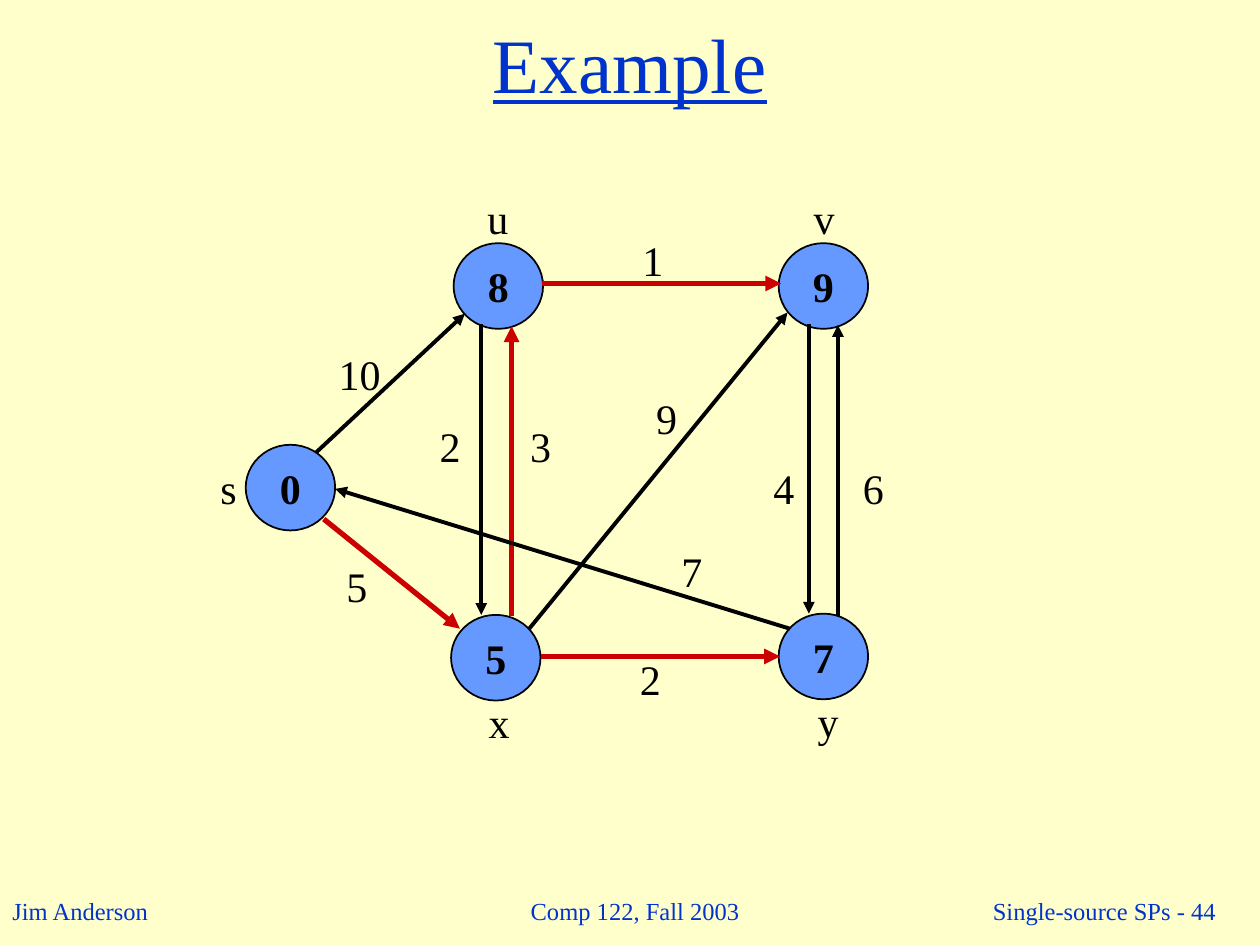
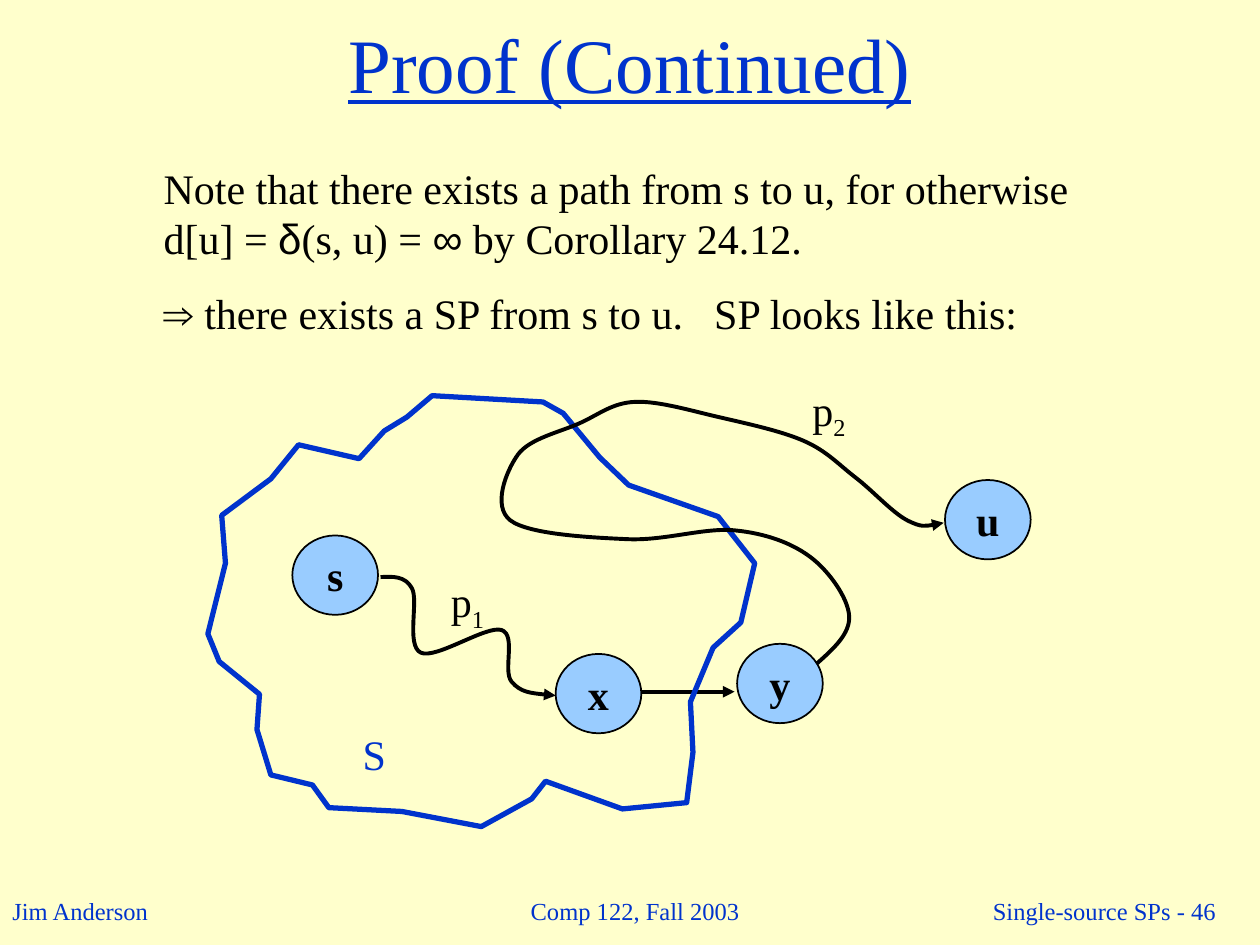
from lxml import etree
from pptx import Presentation
from pptx.dml.color import RGBColor
from pptx.enum.shapes import MSO_CONNECTOR, MSO_SHAPE
from pptx.enum.text import MSO_ANCHOR, PP_ALIGN
from pptx.oxml.ns import qn
from pptx.util import Inches, Pt

LEFT, CENTER, RIGHT = PP_ALIGN.LEFT, PP_ALIGN.CENTER, PP_ALIGN.RIGHT
TOP, MIDDLE = MSO_ANCHOR.TOP, MSO_ANCHOR.MIDDLE
OVAL, STRAIGHT = MSO_SHAPE.OVAL, MSO_CONNECTOR.STRAIGHT

CREAM = RGBColor(0xFF, 0xFF, 0xCC)
BLUE = RGBColor(0x00, 0x33, 0xCC)
NODE_BLUE = RGBColor(0x66, 0x99, 0xFF)
PALE_BLUE = RGBColor(0x99, 0xCC, 0xFF)
RED = RGBColor(0xCC, 0x00, 0x00)
BLACK = RGBColor(0x00, 0x00, 0x00)
SERIF, SANS = "Times New Roman", "Arial"

# Shared footer: text, box, alignment, anchor
FOOTERS = [
    ("Jim Anderson", (0, 7.06, 1.29, 0.34), LEFT, TOP),
    ("Comp 122, Fall 2003", (4, 6.98, 2.08, 0.5), CENTER, MIDDLE),
    ("Single-source SPs - {}", (7.25, 7.02, 2.5, 0.42), RIGHT, MIDDLE),
]

# Weighted graph: distance and place of each node
GRAPH_NODE_SIZE = (0.71, 0.68)
GRAPH_NODES = [
    ("0", 1.95, 3.53),
    ("7", 6.18, 4.87),
    ("5", 3.58, 4.88),
    ("9", 6.18, 1.93),
    ("8", 3.6, 1.93),
]
EDGES = [
    ((2.51, 3.59), (3.69, 2.49)),
    ((3.82, 2.57), (3.82, 4.88)),
    ((6.42, 2.57), (6.42, 4.87)),
    ((6.65, 4.89), (6.65, 2.58)),
    ((4.2, 4.99), (6.25, 2.48)),
    ((6.27, 4.99), (2.66, 3.88)),
]
TREE_EDGES = [
    ((2.57, 4.12), (3.65, 4.99)),
    ((4.06, 4.89), (4.06, 2.59)),
    ((4.29, 5.21), (6.19, 5.21)),
    ((4.3, 2.25), (6.2, 2.25)),
]
NODE_NAMES = [("s", 1.65, 3.62), ("u", 3.77, 1.48), ("v", 6.36, 1.48),
              ("x", 3.78, 5.48), ("y", 6.39, 5.47)]
WEIGHTS = [
    ("10", 2.59, 2.72), ("1", 5, 1.81), ("9", 5.11, 3.07),
    ("2", 4.98, 5.14), ("4", 6.04, 3.62), ("6", 6.75, 3.62),
    ("5", 2.65, 4.4), ("2", 3.39, 3.29), ("3", 4.11, 3.29),
    ("7", 5.31, 4.28),
]

# Proof: argument, nodes, paths and the set S
ARGUMENT = [
    ["Note that there exists a path from s to u, for otherwise"],
    ["d[u] = ", ("δ", {"font": SANS}), "(s, u) = ", ("∞", {"font": SANS}),
     " by Corollary 24.12."],
    [("⇒", {"font": SANS}), " there exists a SP from s to u.\tSP looks like this:"],
]
SENTENCE_TAB = 4.37
PROOF_NODE_SIZE = (0.68, 0.63)
PROOF_NODES = [("x", 4.41, 5.19), ("s", 2.32, 4.25),
               ("y", 5.85, 5.11), ("u", 7.5, 3.81)]
X_TO_Y = ((5.09, 5.49), (5.83, 5.49))
PATH_S_TO_X = [(3.02, 4.58), (3.27, 4.67), (3.34, 5.18), (3.98, 5),
               (4.06, 5.41), (4.41, 5.52)]
PATH_Y_TO_U = [(6.48, 5.27), (6.74, 4.89), (6.43, 4.42), (5.83, 4.21),
               (4.98, 4.28), (4.05, 4.13), (4.11, 3.61), (4.6, 3.36),
               (5.04, 3.19), (5.7, 3.31), (6.38, 3.5), (6.79, 3.79),
               (7.2, 4.13), (7.49, 4.15)]
SET_OUTLINE = [
    (3.05, 3.42), (2.85, 3.64), (2.37, 3.53), (2.15, 3.8), (1.76, 4.09),
    (1.79, 4.47), (1.65, 5.03), (1.74, 5.25), (2.06, 5.51), (2.04, 5.79),
    (2.15, 6.15), (2.48, 6.23), (2.61, 6.41), (3.19, 6.44), (3.82, 6.56),
    (4.22, 6.34), (4.33, 6.2), (4.94, 6.42), (5.45, 6.37), (5.5, 5.97),
    (5.48, 5.57), (5.66, 5.14), (5.88, 4.94), (5.99, 4.47), (5.7, 4.1),
    (4.99, 3.85), (4.76, 3.63), (4.47, 3.28), (4.31, 3.19), (3.43, 3.14),
    (3.23, 3.31),
]
PATH_NAMES = [("1", 3.48, 4.52), ("2", 6.35, 3)]


def inches(values):
    return [Inches(value) for value in values]


# Text
def write(shape, paragraphs, size=24, color=BLACK, bold=False, underline=False,
          align=LEFT, anchor=TOP, wrap=False):
    """Fill a shape; each paragraph is a list of strings or (string, format)."""
    frame = shape.text_frame
    frame.word_wrap = wrap
    frame.vertical_anchor = anchor
    for index, spans in enumerate(paragraphs):
        para = frame.add_paragraph() if index else frame.paragraphs[0]
        para.alignment = align
        for item in spans:
            text, style = (item, {}) if isinstance(item, str) else item
            span = para.add_run()
            span.text = text
            span.font.name = style.get("font", SERIF)
            span.font.size = Pt(size)
            span.font.bold = bold
            span.font.underline = underline
            span.font.color.rgb = color
            if "baseline" in style:
                span._r.get_or_add_rPr().set("baseline", style["baseline"])
    return frame


def add_text(page, paragraphs, place, **style):
    return write(page.shapes.add_textbox(*inches(place)), paragraphs, **style)


def add_label(page, text, left, top, **style):
    width = 0.2 + 0.165 * len(text)
    add_text(page, [[text]], (left, top, width, 0.5), **style)


# Lines and shapes
def style_line(shape, color, width, arrow=False):
    shape.line.color.rgb = color
    shape.line.width = Pt(width)
    if arrow:
        etree.SubElement(shape.line._get_or_add_ln(), qn("a:tailEnd"), type="triangle")


def add_arrow(page, start, end, color=BLACK, width=2.25):
    arrow = page.shapes.add_connector(STRAIGHT, *inches(start + end))
    style_line(arrow, color, width, arrow=True)
    etree.SubElement(arrow._element.spPr, qn("a:effectLst"))


def add_nodes(page, nodes, size, fill):
    for text, left, top in nodes:
        node = page.shapes.add_shape(OVAL, *inches((left, top) + size))
        node.shadow.inherit = False
        node.fill.solid()
        node.fill.fore_color.rgb = fill
        style_line(node, BLACK, 1)
        write(node, [[text]], bold=True, align=CENTER, anchor=MIDDLE)


def add_outline(page, points, color, width, close=False, arrow=False):
    corners = [tuple(inches(point)) for point in points]
    builder = page.shapes.build_freeform(*corners[0])
    builder.add_line_segments(corners[1:], close=close)
    outline = builder.convert_to_shape()
    outline.shadow.inherit = False
    outline.fill.background()
    style_line(outline, color, width, arrow)
    return outline


def mix(first, second, share):
    return tuple(a + (b - a) * share for a, b in zip(first, second))


def add_curve(page, points):
    """Draw an arrow that passes smoothly through all the points."""
    # Each inner tangent is a sixth of the step between its neighbours
    arriving, leaving = {}, {}
    for i in range(1, len(points) - 1):
        step = [(b - a) / 6 for a, b in zip(points[i - 1], points[i + 1])]
        arriving[i] = tuple(p - s for p, s in zip(points[i], step))
        leaving[i] = tuple(p + s for p, s in zip(points[i], step))
    last = len(points) - 1
    leaving[0] = mix(points[0], arriving[1], 0.5)
    arriving[last] = mix(points[last], leaving[last - 1], 0.5)
    route = [points[0]]
    for i in range(last):
        route += [leaving[i], arriving[i + 1], points[i + 1]]
    curve = add_outline(page, route, BLACK, 2.25, arrow=True)

    # Turn each three straight segments into one Bézier segment
    segments = list(curve._element.iter(qn("a:lnTo")))
    for first in range(0, len(segments), 3):
        bezier = etree.Element(qn("a:cubicBezTo"))
        segments[first].addprevious(bezier)
        for segment in segments[first:first + 3]:
            bezier.append(segment[0])
            segment.getparent().remove(segment)


# Pages
def add_page(deck, title, number):
    page = deck.slides.add_slide(deck.slide_layouts[6])
    page.background.fill.solid()
    page.background.fill.fore_color.rgb = CREAM
    for text, place, align, anchor in FOOTERS:
        add_text(page, [[text.format(number)]], place, size=14, color=BLUE,
                 align=align, anchor=anchor)
    add_text(page, [[title]], (0, 0, 10, 1), size=44, color=BLUE,
             underline=True, align=CENTER, anchor=MIDDLE, wrap=True)
    return page


def add_example(deck):
    page = add_page(deck, "Example", 44)
    add_nodes(page, GRAPH_NODES, GRAPH_NODE_SIZE, NODE_BLUE)
    for start, end in TREE_EDGES:
        add_arrow(page, start, end, RED, 3)
    for start, end in EDGES:
        add_arrow(page, start, end)
    for text, left, top in NODE_NAMES + WEIGHTS:
        add_label(page, text, left, top)


def add_proof(deck):
    page = add_page(deck, "Proof (Continued)", 46)
    frame = add_text(page, ARGUMENT, (1.2, 1.24, 7.6, 1.5), wrap=True)
    conclusion = frame.paragraphs[-1]
    conclusion.space_before = Pt(14)
    tabs = etree.SubElement(conclusion._p.get_or_add_pPr(), qn("a:tabLst"))
    etree.SubElement(tabs, qn("a:tab"), pos=str(Inches(SENTENCE_TAB)), algn="l")

    add_nodes(page, PROOF_NODES, PROOF_NODE_SIZE, PALE_BLUE)
    add_arrow(page, *X_TO_Y)
    add_curve(page, PATH_S_TO_X)
    add_outline(page, SET_OUTLINE, BLUE, 3, close=True)
    add_label(page, "S", 2.78, 5.73, color=BLUE)
    add_curve(page, PATH_Y_TO_U)
    for index, left, top in PATH_NAMES:
        add_text(page, [["p", (index, {"baseline": "-25000"})]],
                 (left, top, 0.46, 0.56))


def main():
    deck = Presentation()
    deck.slide_width, deck.slide_height = Inches(10), Inches(7.5)
    add_example(deck)
    add_proof(deck)
    deck.save("out.pptx")


if __name__ == "__main__":
    main()
